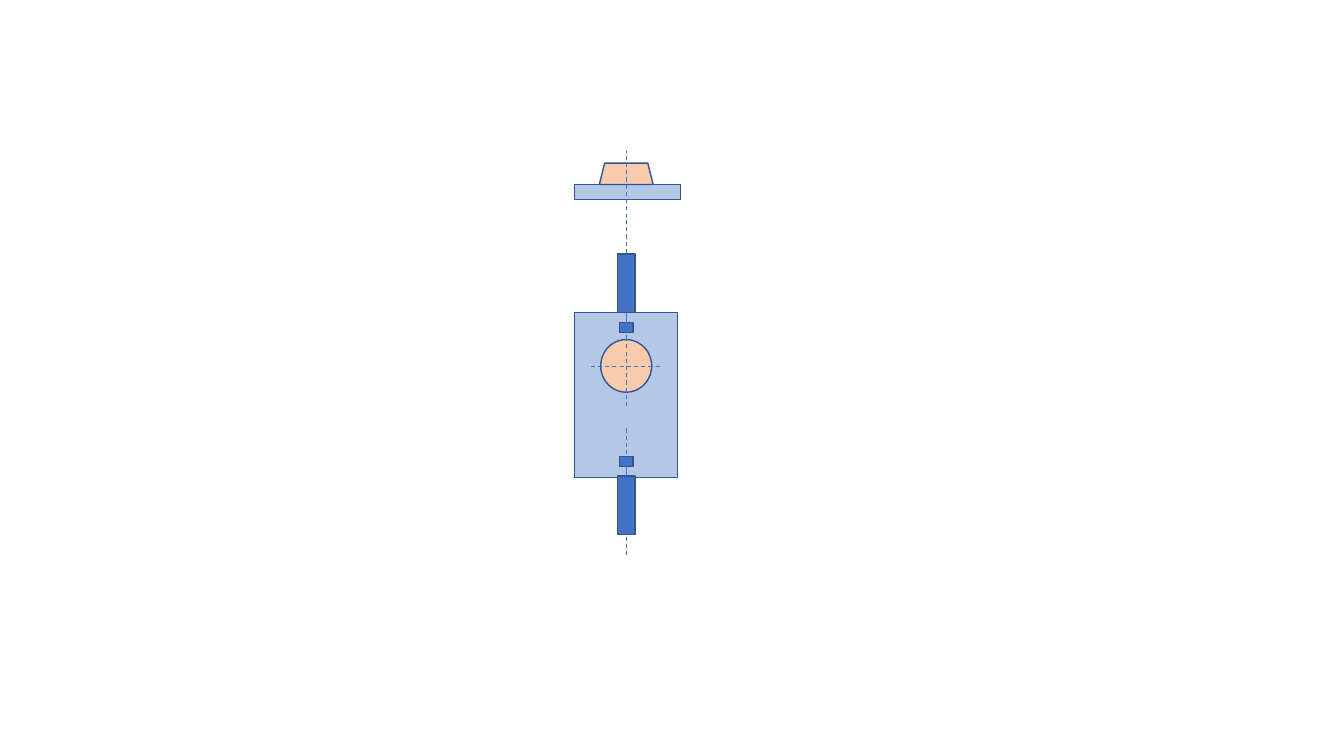
"""Draw the side and top views of a two-lead component on its base plate."""
from dataclasses import dataclass

from lxml.etree import SubElement
from pptx import Presentation
from pptx.dml.color import RGBColor
from pptx.enum.dml import MSO_LINE
from pptx.enum.shapes import MSO_CONNECTOR, MSO_SHAPE
from pptx.oxml.ns import qn
from pptx.util import Pt


@dataclass(frozen=True)
class Theme:
    plate: str = "B4C7E7"
    metal: str = "4472C4"
    dome: str = "F8CBAD"
    outline: str = "325491"
    outline_width: float = 1
    wire_width: float = 0.5
    axis_width: float = 0.75


theme = Theme()


def add_part(group, kind, left, top, width, height, fill):
    shape = group.shapes.add_shape(kind, Pt(left), Pt(top), Pt(width), Pt(height))
    shape.shadow.inherit = False
    shape.fill.solid()
    shape.fill.fore_color.rgb = RGBColor.from_string(fill)
    shape.line.color.rgb = RGBColor.from_string(theme.outline)
    shape.line.width = Pt(theme.outline_width)
    return shape


def add_line(group, start, end, width, dash=None):
    connector = group.shapes.add_connector(
        MSO_CONNECTOR.STRAIGHT, *(Pt(value) for value in (*start, *end)))
    connector.line.color.rgb = RGBColor.from_string(theme.metal)
    connector.line.width = Pt(width)
    connector.line.dash_style = dash
    SubElement(connector._element.spPr, qn("a:effectLst"))
    return connector


presentation = Presentation()
presentation.slide_width, presentation.slide_height = Pt(960), Pt(540)
slide = presentation.slides.add_slide(presentation.slide_layouts[6])

axis_x = 447.3
plate_left = 410.4
pad_width, pad_height = 10, 7.2
lead_width, lead_height = 12.4, 41.8

top_view = slide.shapes.add_group_shape()
add_part(top_view, MSO_SHAPE.RECTANGLE, plate_left, 223.2, 73.6, 118, theme.plate)

for pad_top, lead_top, wire_start, pad_side in ((230.4, 181.4, 217.4, 0),
                                                (326.2, 340, 345.6, 2)):
    pad = add_part(top_view, MSO_SHAPE.RECTANGLE, axis_x - pad_width / 2, pad_top,
                   pad_width, pad_height, theme.metal)
    wire = add_line(top_view, (axis_x, wire_start), (axis_x, pad_top), theme.wire_width)
    wire.end_connect(pad, pad_side)
    add_part(top_view, MSO_SHAPE.RECTANGLE, axis_x - lead_width / 2, lead_top,
             lead_width, lead_height, theme.metal)

add_part(top_view, MSO_SHAPE.OVAL, axis_x - 18.2, 242.6, 36.4, 37.6, theme.dome)

for start, end in (((421.9, 262.1), (473, 262.1)),
                   ((axis_x, 290.2), (axis_x, 242.6)),
                   ((axis_x, 396.7), (axis_x, 306)),
                   ((axis_x, 242.6), (axis_x, 152.6))):
    add_line(top_view, start, end, theme.axis_width, MSO_LINE.DASH)

side_view = slide.shapes.add_group_shape()
add_part(side_view, MSO_SHAPE.RECTANGLE, plate_left, 131.8, 75.6, 10.6, theme.plate)
add_part(side_view, MSO_SHAPE.TRAPEZOID, axis_x - 19.2, 116.6, 38.4, 15.2, theme.dome)
add_line(side_view, (axis_x, 155.5), (axis_x, 108), theme.axis_width, MSO_LINE.DASH)

presentation.save("out.pptx")
